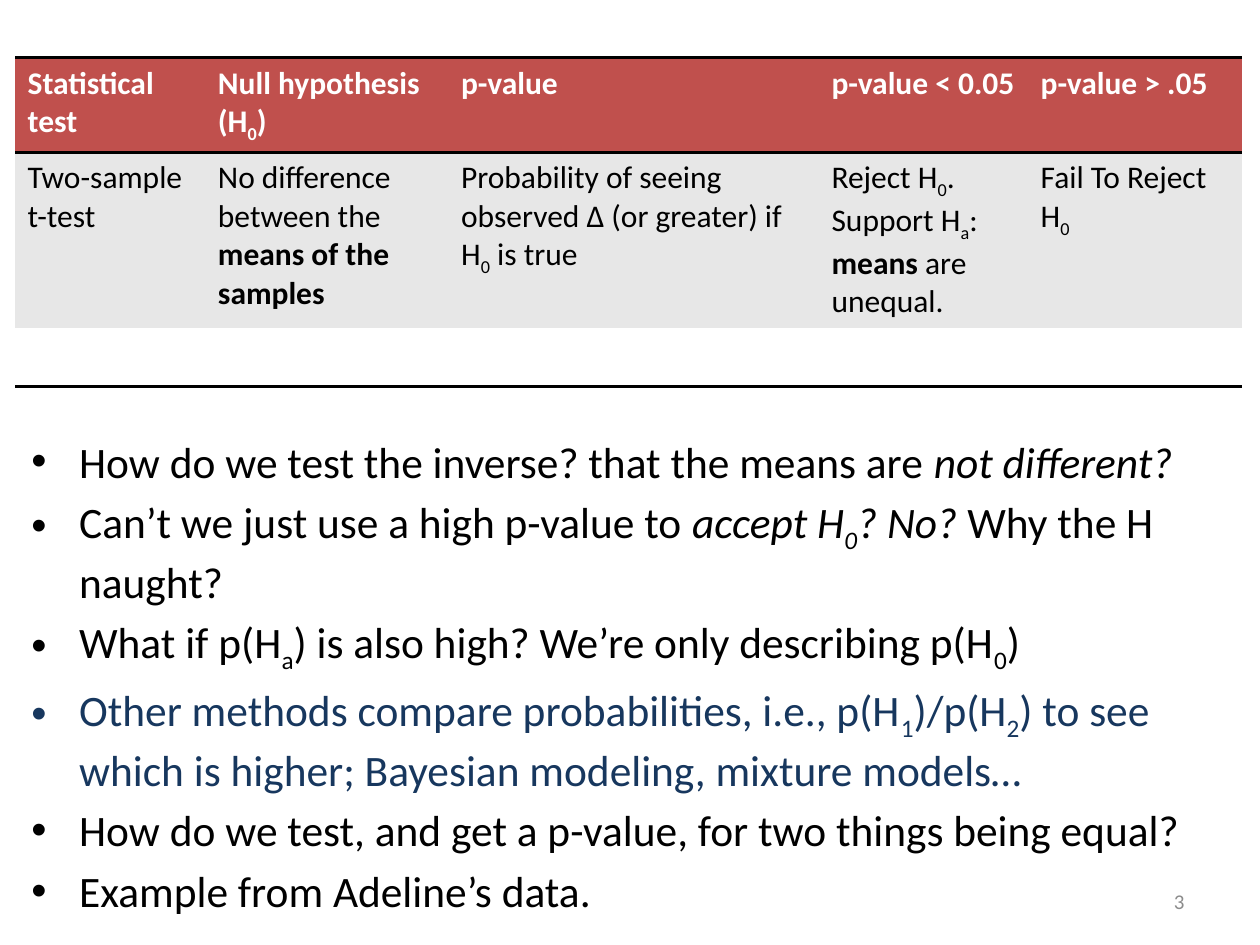
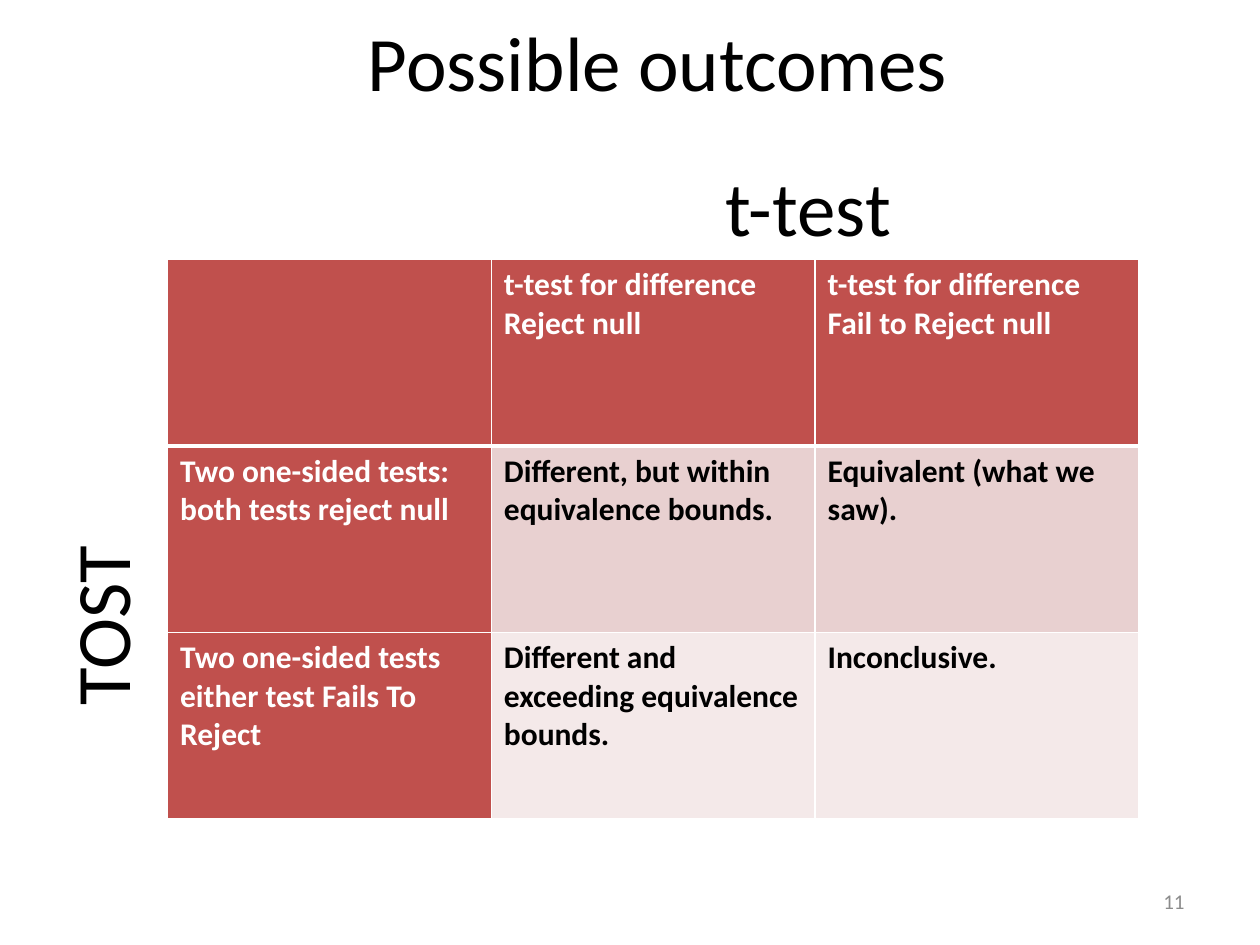
import pptx
import pptx.util
import pptx.dml.color
import pptx.enum.text
import pptx.oxml
import pptx.oxml.ns

Inches, Pt = pptx.util.Inches, pptx.util.Pt
PP_ALIGN = pptx.enum.text.PP_ALIGN
MSO_ANCHOR = pptx.enum.text.MSO_ANCHOR

# Shared look
FONT = "Calibri"
BLACK, WHITE, RED, NAVY, GRAY = "000000", "FFFFFF", "C0504D", "17375E", "8C8C8C"
BAND_GRAY, BAND_ROSE, BAND_PINK = "E7E7E7", "E8D0D0", "F4E9E9"
TITLE_SIZE, TABLE_SIZE, BULLET_SIZE, NUMBER_SIZE = 44, 18, 24.8, 12

# Content: a paragraph is a string or a list of runs; a run is a string or
# (text, style), where style holds b = bold, i = italic, s = subscript.
# A cell is a tuple of paragraphs.
TEST_ROWS = [
    [("Statistical test",),
     ("Null hypothesis", ["(H", ("0", "s"), ")"]),
     ("p-value",), ("p-value < 0.05",), ("p-value > .05",)],
    [("Two-sample t-test",),
     (["No difference between the ", ("means of the samples", "b")],),
     (["Probability of seeing observed ∆ (or greater) if H", ("0", "s"), " is true"],),
     (["Reject H", ("0", "s"), ". Support H", ("a", "s"), ": ", ("means", "b"),
       " are unequal."],),
     (["Fail To Reject H", ("0", "s")],)],
    [()] * 5,
]
TEST_COLS, TEST_HEIGHTS = [1.51, 1.93, 2.94, 1.66, 1.7], [0.75, 1.39, 0.47]

QUESTIONS = [
    (BLACK, ["How do we test the inverse? that the means are ", ("not different?", "i")]),
    (BLACK, ["Can’t we just use a high p-value to ", ("accept H", "i"), ("0", "is"),
             ("? No?", "i"), " Why the H naught?"]),
    (BLACK, ["What if p(H", ("a", "s"), ") is also high? We’re only describing p(H",
             ("0", "s"), ")"]),
    (NAVY, ["Other methods compare probabilities, i.e., p(H", ("1", "s"), ")/p(H",
            ("2", "s"), ") to see which is higher; Bayesian modeling, mixture models…"]),
    (BLACK, "How do we test, and get a p-value, for two things being equal?"),
    (BLACK, "Example from Adeline’s data."),
]

OUTCOME_ROWS = [
    [(), ("t-test for difference", "Reject null"),
     ("t-test for difference", "Fail to Reject null")],
    [("Two one-sided tests:", "both tests reject null"),
     ("Different, but within equivalence bounds.",), ("Equivalent (what we saw).",)],
    [("Two one-sided tests", "either test Fails To Reject"),
     ("Different and exceeding equivalence bounds.",), ("Inconclusive.",)],
]
OUTCOME_COLS, OUTCOME_HEIGHTS = [2.57] * 3, [1.48] * 3

# (text, left, top, width, height, rotation)
HEADINGS = [
    ("Possible outcomes", 0.72, -0.14, 9, 1.25, 0),
    ("TOST", -0.67, 4.34, 2.93, 1.25, 270),
    ("t-test", 5.26, 1.4, 2.31, 0.46, 0),
]


def rgb(color):
    return pptx.dml.color.RGBColor.from_string(color)


def write(p, runs, size, color, bold=False):
    for run in [runs] if isinstance(runs, str) else runs:
        text, style = (run, "") if isinstance(run, str) else run
        r = p.add_run()
        r.text = text
        r.font.name, r.font.size = FONT, Pt(size)
        r.font.color.rgb = rgb(color)
        r.font.bold = bold or "b" in style
        r.font.italic = "i" in style
        if "s" in style:
            r.font._element.set("baseline", "-25000")


def add_box(s, left, top, width, height, anchor=MSO_ANCHOR.MIDDLE):
    sp = s.shapes.add_textbox(Inches(left), Inches(top), Inches(width), Inches(height))
    tf = sp.text_frame
    tf.word_wrap, tf.vertical_anchor = True, anchor
    return sp


def add_label(s, text, box, size, color, align):
    sp = add_box(s, *box)
    p = sp.text_frame.paragraphs[0]
    p.alignment = align
    write(p, text, size, color)
    return sp


def add_slide_number(s, number):
    add_label(s, number, (7.17, 6.95, 2.33, 0.4), NUMBER_SIZE, GRAY, PP_ALIGN.RIGHT)


def set_borders(cell, borders):
    """borders maps a side (L, R, T, B) to (colour, points); other sides are bare."""
    tcPr = cell._tc.get_or_add_tcPr()
    ns = pptx.oxml.ns.nsdecls("a")
    for i, side in enumerate("LRTB"):
        color, points = borders.get(side, (None, 0))
        fill = (f'<a:solidFill><a:srgbClr val="{color}"/></a:solidFill>'
                if color else "<a:noFill/>")
        tcPr.insert(i, pptx.oxml.parse_xml(
            f'<a:ln{side} {ns} w="{Pt(points)}">{fill}</a:ln{side}>'))


def add_grid(s, rows, cols, heights, left, top, look):
    """look(row, col) gives fill, text colour, bold and borders of a cell."""
    table = s.shapes.add_table(len(rows), len(cols), Inches(left), Inches(top),
                               Inches(sum(cols)), Inches(sum(heights))).table
    for column, width in zip(table.columns, cols):
        column.width = Inches(width)
    for row, height in zip(table.rows, heights):
        row.height = Inches(height)
    for i, row in enumerate(rows):
        for j, paragraphs in enumerate(row):
            fill, color, bold, borders = look(i, j)
            cell = table.cell(i, j)
            cell.fill.solid()
            cell.fill.fore_color.rgb = rgb(fill)
            set_borders(cell, borders)
            tf = cell.text_frame
            for n, runs in enumerate(paragraphs):
                p = tf.add_paragraph() if n else tf.paragraphs[0]
                write(p, runs, TABLE_SIZE, color, bold)


def test_look(i, j):
    rule = (BLACK, 2)
    borders = [{"T": rule, "B": rule}, {"T": rule}, {"B": rule}][i]
    fill = [RED, BAND_GRAY, WHITE][i]
    return fill, BLACK if i else WHITE, i == 0, borders


def outcome_look(i, j):
    borders = {side: (WHITE, 1) for side in "LRTB"}
    if i < 2:
        borders["T" if i else "B"] = (WHITE, 3)
    if i == 0 or j == 0:
        return RED, WHITE, True, borders
    return [BAND_ROSE, BAND_PINK][i - 1], BLACK, True, borders


def add_bullets(s, items):
    tf = add_box(s, 0.15, 3.4, 9.74, 3.52, MSO_ANCHOR.TOP).text_frame
    for n, (color, runs) in enumerate(items):
        p = tf.add_paragraph() if n else tf.paragraphs[0]
        p.space_before = Pt(5)
        pPr = p._p.get_or_add_pPr()
        pPr.set("marL", str(Inches(0.38)))
        pPr.set("indent", str(-Inches(0.38)))
        for bullet in ('buFont {} typeface="Arial"', 'buChar {} char="•"'):
            pPr.append(pptx.oxml.parse_xml(
                f'<a:{bullet.format(pptx.oxml.ns.nsdecls("a"))}/>'))
        write(p, runs, BULLET_SIZE, color)


def main():
    prs = pptx.Presentation()
    prs.slide_width, prs.slide_height = Inches(10), Inches(7.5)
    blank = prs.slide_layouts[6]

    # Slide 1: the t-test and open questions
    s = prs.slides.add_slide(blank)
    add_bullets(s, QUESTIONS)
    add_grid(s, TEST_ROWS, TEST_COLS, TEST_HEIGHTS, 0.12, 0.46, test_look)
    add_slide_number(s, "3")

    # Slide 2: outcome matrix with its axis headings
    s = prs.slides.add_slide(blank)
    add_grid(s, OUTCOME_ROWS, OUTCOME_COLS, OUTCOME_HEIGHTS, 1.33, 2.06, outcome_look)
    for text, *box, rotation in HEADINGS:
        sp = add_label(s, text, box, TITLE_SIZE, BLACK, PP_ALIGN.CENTER)
        sp.rotation = rotation
    add_slide_number(s, "11")

    prs.save("out.pptx")


if __name__ == "__main__":
    main()
